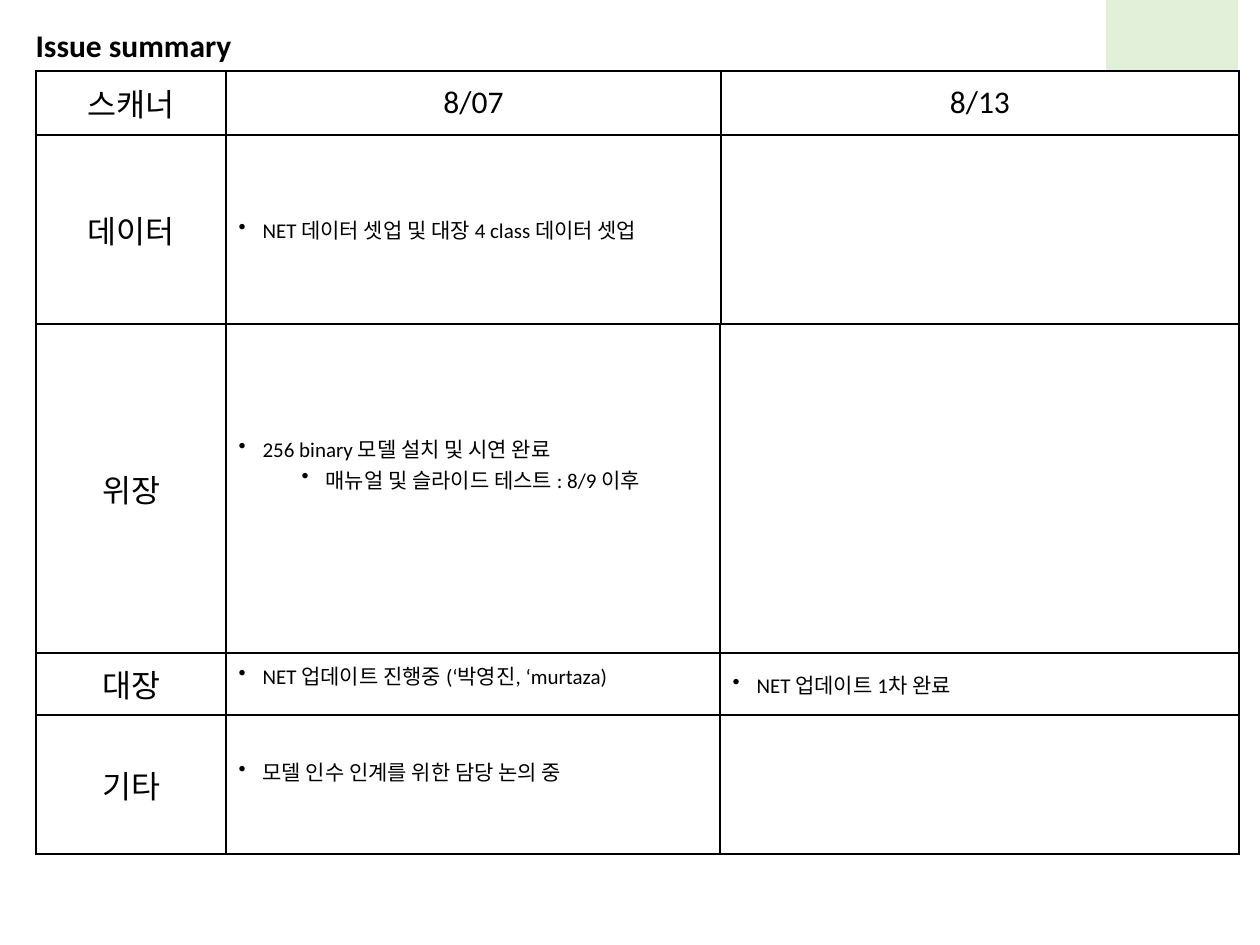
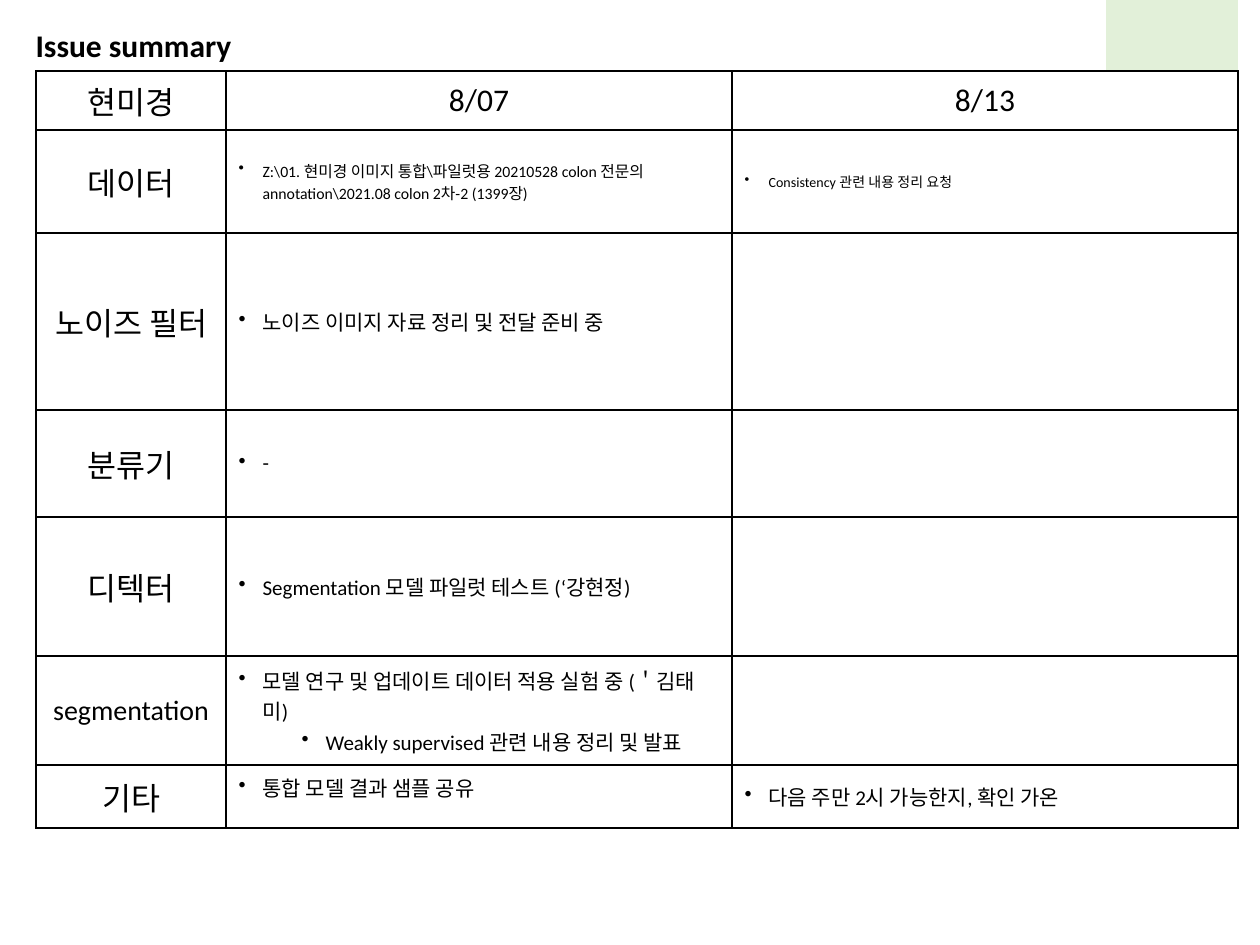
from dataclasses import dataclass

from lxml import etree
from pptx import Presentation
from pptx.dml.color import RGBColor
from pptx.enum.shapes import MSO_SHAPE
from pptx.enum.text import MSO_ANCHOR, PP_ALIGN
from pptx.oxml.ns import qn
from pptx.util import Pt

RECT = MSO_SHAPE.RECTANGLE
TOP, MIDDLE = MSO_ANCHOR.TOP, MSO_ANCHOR.MIDDLE
LEFT, CENTER = PP_ALIGN.LEFT, PP_ALIGN.CENTER


@dataclass(frozen=True)
class Theme:
    font: str = "Calibri"
    ink: str = "000000"
    paper: str = "FFFFFF"
    accent: str = "E2F0D9"
    head: int = 18
    label: int = 16
    body: int = 12
    small: int = 9
    tiny: int = 8


theme = Theme()
SCALE = 914400 / 126  # EMU in one px


def px(n):
    return round(n * SCALE)


def put(para, text, size=theme.head, bold=False, align=CENTER, level=None):
    """Add text to a paragraph; a level makes it a bullet."""
    if level is not None:
        props = para._p.get_or_add_pPr()
        props.set("marL", str(px(24 + 63 * level)))
        props.set("indent", str(px(-24)))
        etree.SubElement(props, qn("a:buChar")).set("char", "•")
        para.level = level
    para.alignment = align
    run = para.add_run()
    run.text = text
    run.font.name, run.font.size, run.font.bold = theme.font, Pt(size), bold
    run.font.color.rgb = RGBColor.from_string(theme.ink)


# A body cell is (lines, size, lift); lift raises the text by extra bottom margin.
# A row is (height, label, label size, body cells).
body, head = theme.body, theme.head
dates = ["8/07", "8/13"]
pages = [
    [
        (71, [190, 495, 518], [
            (64, "스캐너", head, dates),
            (189, "데이터", head, [
                (["NET 데이터 셋업 및 대장 4 class 데이터 셋업"], body, 0)]),
        ]),
        (324, [190, 494, 519], [
            (329, "위장", head, [
                (["256 binary 모델 설치 및 시연 완료",
                  "매뉴얼 및 슬라이드 테스트 : 8/9 이후"], body, 50)]),
            (62, "대장", head, [
                (["NET 업데이트 진행중 (‘박영진, ‘murtaza)"], body, 18),
                (["NET 업데이트 1차 완료"], body, 0)]),
            (139, "기타", head, [
                (["모델 인수 인계를 위한 담당 논의 중"], body, 26)]),
        ]),
    ],
    [
        (71, [190, 506, 506], [
            (59, "현미경", head, dates),
            (103, "데이터", head, [
                (["Z:\\01. 현미경 이미지 통합\\파일럿용 20210528 colon 전문의 "
                  "annotation\\2021.08 colon 2차-2 (1399장)"], theme.small, 0),
                (["Consistency 관련 내용 정리 요청"], theme.tiny, 0)]),
        ]),
        (233, [190, 506, 506], [
            (177, "노이즈 필터", head, [
                (["노이즈 이미지 자료 정리 및 전달 준비 중"], body, 0)]),
            (107, "분류기", head, [(["-"], body, 0)]),
            (139, "디텍터", head, [
                (["Segmentation 모델 파일럿 테스트 (‘강현정)"], body, 0)]),
            (109, "segmentation", theme.label, [
                (["모델 연구 및 업데이트 데이터 적용 실험 중 (＇김태미)",
                  "Weakly supervised 관련 내용 정리 및 발표"], body, 0)]),
            (63, "기타", head, [
                (["통합 모델 결과 샘플 공유"], body, 18),
                (["다음 주만 2시 가능한지, 확인 가온"], body, 0)]),
        ]),
    ],
]

deck = Presentation()
deck.slide_width, deck.slide_height = px(1260), px(945)

for page in pages:
    slide = deck.slides.add_slide(deck.slide_layouts[5])

    band = slide.shapes.add_shape(RECT, px(1106), px(-19), px(132), px(181))
    band.shadow.inherit = False
    band.fill.solid()
    band.fill.fore_color.rgb = RGBColor.from_string(theme.accent)
    band.line.fill.background()

    title = slide.shapes.title
    title.left, title.top, title.width, title.height = px(23), px(20), px(394), px(50)
    title.text_frame.vertical_anchor = TOP
    put(title.text_frame.paragraphs[0], "Issue summary", bold=True, align=LEFT)

    for top, widths, rows in page:
        high = sum(row[0] for row in rows)
        grid = slide.shapes.add_table(len(rows), len(widths), px(36), px(top),
                                      px(sum(widths)), px(high)).table
        grid.first_row = grid.horz_banding = False
        for col, width in zip(grid.columns, widths):
            col.width = px(width)

        for cell in grid.iter_cells():
            cell.vertical_anchor = MIDDLE
            props = cell._tc.get_or_add_tcPr()
            for side in ("a:lnL", "a:lnR", "a:lnT", "a:lnB"):
                edge = etree.SubElement(props, qn(side))
                edge.set("w", str(Pt(1)))
                fill = etree.SubElement(edge, qn("a:solidFill"))
                etree.SubElement(fill, qn("a:srgbClr")).set("val", theme.ink)
            cell.fill.solid()
            cell.fill.fore_color.rgb = RGBColor.from_string(theme.paper)

        for r, (height, label, size, items) in enumerate(rows):
            grid.rows[r].height = px(height)
            put(grid.cell(r, 0).text_frame.paragraphs[0], label, size=size)
            for c, item in enumerate(items, 1):
                cell = grid.cell(r, c)
                frame = cell.text_frame
                if items is dates:
                    put(frame.paragraphs[0], item)
                    continue
                lines, size, lift = item
                cell.margin_bottom = px(6 + lift)
                for level, line in enumerate(lines):
                    para = frame.add_paragraph() if level else frame.paragraphs[0]
                    put(para, line, size=size, align=LEFT, level=level)

deck.save("out.pptx")
